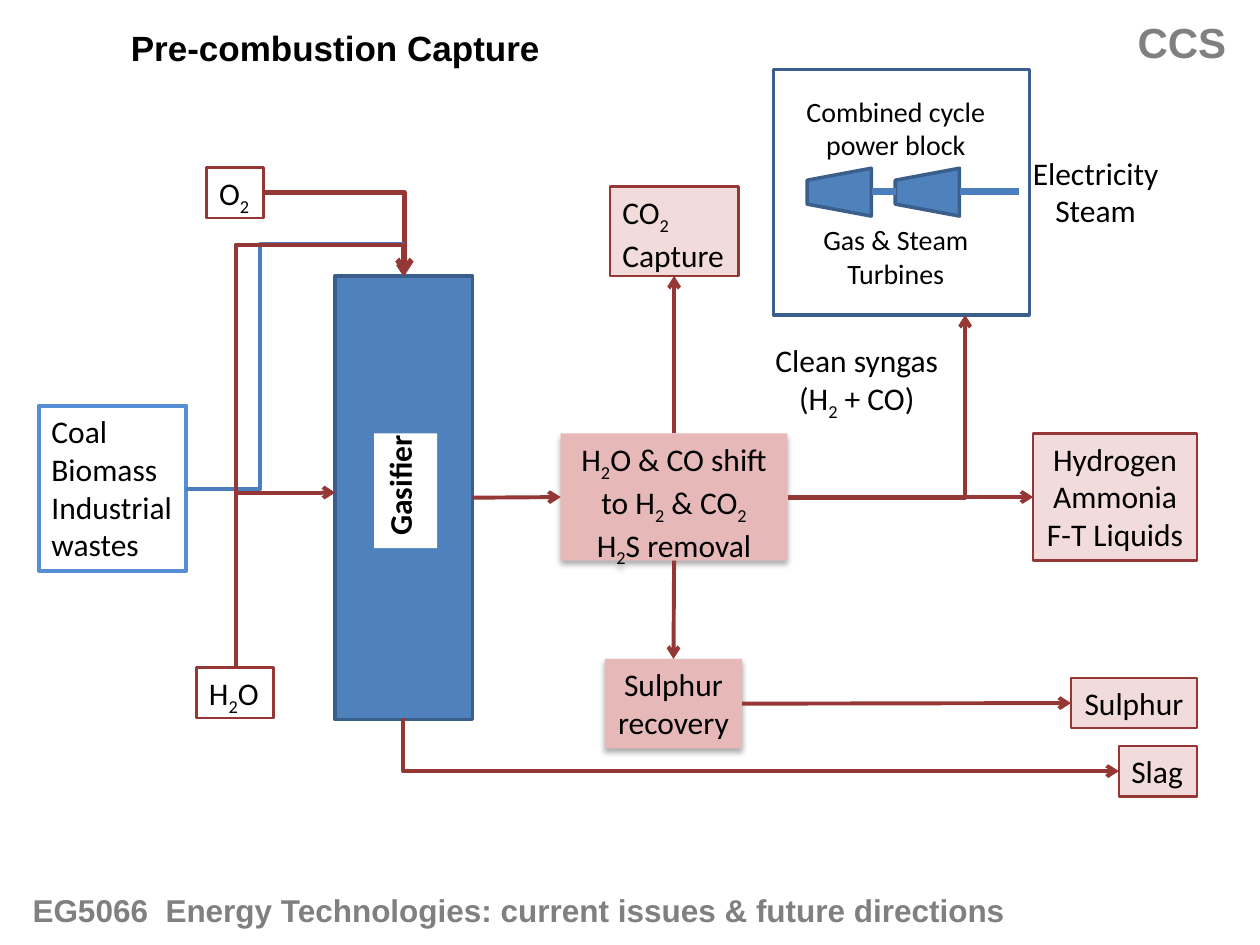
"""Build the pre-combustion capture flow diagram slide."""
import pptx
import pptx.dml.color
import pptx.enum.shapes
import pptx.enum.text
import pptx.oxml
import pptx.oxml.ns
import pptx.util

Inches, Pt, qn = pptx.util.Inches, pptx.util.Pt, pptx.oxml.ns.qn
SHAPE = pptx.enum.shapes.MSO_SHAPE
CONNECTOR = pptx.enum.shapes.MSO_CONNECTOR
ALIGN = pptx.enum.text.PP_ALIGN
TOP, LEFT, BOTTOM, RIGHT = range(4)

THEME = {
    "blue": "4F81BD", "navy": "3A5F8C", "sky": "558ED5", "steel": "4B7EBC",
    "red": "953735", "rose": "E6B9B8", "blush": "F2DCDB", "white": "FFFFFF",
    "body": {"name": "Calibri", "size": Pt(18), "color": "000000"},
    "small": {"name": "Calibri", "size": Pt(16), "color": "000000"},
    "strong": {"name": "Calibri", "size": Pt(18), "bold": True, "color": "000000"},
    "title": {"name": "Arial", "size": Pt(20), "bold": True, "color": "000000"},
    "footer": {"name": "Arial", "size": Pt(18), "bold": True, "color": "808080"},
    "tag": {"name": "Arial", "size": Pt(24), "bold": True, "color": "808080"},
}
OUTLINE = {"line": "red", "pt": 1.5}
PRODUCT = {"fill": "blush", **OUTLINE}
PROCESS = {"fill": "rose", "shadow": True, "wrap": True, "align": ALIGN.CENTER}
CENTRED = {"wrap": True, "align": ALIGN.CENTER}

BLOCKS = [
    ("gasifier", SHAPE.RECTANGLE, (2.66, 2.19, 1.09, 3.52), 0, "blue"),
    ("compressor", SHAPE.TRAPEZOID, (6.47, 1.27, 0.38, 0.51), 270, "blue"),
    ("turbine", SHAPE.TRAPEZOID, (7.17, 1.27, 0.38, 0.51), 270, "blue"),
    ("power block", SHAPE.RECTANGLE, (6.14, 0.55, 2.03, 1.95), 0, None),
]

LABELS = [
    ("title", "Pre-combustion Capture", (0.94, 0.16, 3.47, 0.44), {"font": "title"}),
    ("gasifier label", "Gasifier", (2.97, 3.44, 0.5, 0.91),
     {"fill": "white", "font": "strong", "vert": "vert270"}),
    ("oxygen", "O_2_", (1.64, 1.33, 0.45, 0.4), OUTLINE),
    ("water", "H_2_O", (1.56, 5.3, 0.61, 0.4), OUTLINE),
    ("feedstock", "Coal\nBiomass\nIndustrial wastes", (0.31, 3.22, 1.17, 1.31),
     {"line": "sky", "pt": 2.25, "wrap": True}),
    ("recovery", "Sulphur recovery", (4.8, 5.23, 1.09, 0.71), PROCESS),
    ("shift", "H_2_O & CO shift to H_2_ & CO_2_\nH_2_S removal",
     (4.45, 3.44, 1.8, 1.01), PROCESS),
    ("sulphur", "Sulphur", (8.5, 5.38, 1, 0.4), {**PRODUCT, "align": ALIGN.CENTER}),
    ("fuels", "Hydrogen\nAmmonia\nF-T Liquids", (8.2, 3.44, 1.3, 1.01),
     {**PRODUCT, "align": ALIGN.CENTER}),
    ("slag", "Slag", (8.88, 5.92, 0.62, 0.4), PRODUCT),
    ("capture", "CO_2_\nCapture", (4.84, 1.48, 1.02, 0.71), PRODUCT),
    ("output", "Electricity\nSteam", (8.09, 1.17, 1.21, 0.71), {"align": ALIGN.CENTER}),
    ("cycle", "Combined cycle power block", (6.29, 0.7, 1.64, 0.64),
     {**CENTRED, "font": "small"}),
    ("turbines", "Gas & Steam Turbines", (6.33, 1.72, 1.56, 0.64),
     {**CENTRED, "font": "small"}),
    ("syngas", "Clean syngas (H_2_ + CO)", (6.02, 2.66, 1.56, 0.71), CENTRED),
    ("footer", "EG5066  Energy Technologies: current issues & future directions",
     (0.16, 7.02, 8.59, 0.4), {"font": "footer", "wrap": True}),
    ("tag", "CCS", (8.93, 0.08, 0.91, 0.5), {"font": "tag"}),
]

SHAFTS = [(6.92, 7.11), (7.62, 8.09)]
SHAFT_Y = 1.52

ELBOWS = [
    ((2.1, 1.53, 1.11, 0.66), "bentConnector2", 0, "", (), "red", 3),
    ((1.48, 2.19, 1.72, 1.69), "bentConnector4", 0, "V", (34100, 114800), "steel", 2.25),
    ((1.59, 4.19, 1.35, 0.79), "bentConnector2", 90, "HV", (), "red", 2.25),
    ((0.98, 3.08, 3.11, 1.33), "bentConnector3", 90, "HV", (108000,), "red", 2.25),
    ((5.83, 3.07, 0.42, 5.68), "bentConnector2", 270, "H", (), "red", 2.25),
    ((6.25, 2.5, 1.41, 1.45), "bentConnector2", 0, "V", (), "red", 2.25),
]

FLOWS = [
    ("gasifier", RIGHT, "shift", LEFT),
    ("shift", BOTTOM, "recovery", TOP),
    ("recovery", RIGHT, "sulphur", LEFT),
    ("shift", RIGHT, "fuels", LEFT),
    ("shift", TOP, "capture", BOTTOM),
]


def rgb(value):
    """Return a theme key or hex string as a colour."""
    return pptx.dml.color.RGBColor.from_string(THEME.get(value, value))


def child(parent, tag, **attrs):
    """Append an XML element with attributes and return it."""
    node = pptx.oxml.parse_xml(f"<{tag} {pptx.oxml.ns.nsdecls('a')}/>")
    for key, value in attrs.items():
        node.set(key, str(value))
    parent.append(node)
    return node


def paint(s, fill=None, line=None, pt=1):
    """Set the fill and outline of a shape."""
    if fill:
        s.fill.solid()
        s.fill.fore_color.rgb = rgb(fill)
    else:
        s.fill.background()
    if line:
        s.line.color.rgb = rgb(line)
        s.line.width = Pt(pt)


def write(tf, text, font, align):
    """Write lines of text, with subscripts between underscores."""
    for i, line in enumerate(text.split("\n")):
        p = tf.add_paragraph() if i else tf.paragraphs[0]
        p.alignment = align
        for j, part in enumerate(line.split("_")):
            if not part:
                continue
            r = p.add_run()
            r.text = part
            for key, value in THEME[font].items():
                if key == "color":
                    r.font.color.rgb = rgb(value)
                else:
                    setattr(r.font, key, value)
            if j % 2:
                r._r.get_or_add_rPr().set("baseline", "-25000")


def add_block(slide, kind, at, rotation, fill):
    """Add a plain equipment shape."""
    s = slide.shapes.add_shape(kind, *map(Inches, at))
    s.shadow.inherit = False
    s.rotation = rotation
    paint(s, fill, "navy", 2)
    return s


def add_label(slide, text, at, fill=None, line=None, pt=1, font="body",
              align=ALIGN.LEFT, wrap=False, vert=None, shadow=False):
    """Add a text box with optional fill, outline and shadow."""
    s = slide.shapes.add_textbox(*map(Inches, at))
    paint(s, fill, line, pt)
    tf = s.text_frame
    tf.word_wrap = wrap
    tf.auto_size = pptx.enum.text.MSO_AUTO_SIZE.SHAPE_TO_FIT_TEXT
    if vert:
        tf._txBody.bodyPr.set("vert", vert)
    write(tf, text, font, align)
    if shadow:
        effects = child(s._element.spPr, "a:effectLst")
        outer = child(effects, "a:outerShdw", blurRad=Pt(3.5), dist=Pt(2.2),
                      dir=5400000, rotWithShape=0)
        child(child(outer, "a:srgbClr", val="000000"), "a:alpha", val=32000)
    return s


def add_line(slide, kind, ends, color, pt, arrow=True):
    """Add a connector without a shadow."""
    c = slide.shapes.add_connector(kind, *map(Inches, ends))
    c.line.color.rgb = rgb(color)
    c.line.width = Pt(pt)
    if arrow:
        child(c._element.spPr.find(qn("a:ln")), "a:tailEnd", type="arrow")
    child(c._element.spPr, "a:effectLst")
    return c


def add_elbow(slide, at, preset, rotation, flips, adjust, color, pt):
    """Add a bent arrow from its frame, turn and bends."""
    x, y, w, h = at
    c = add_line(slide, CONNECTOR.ELBOW, (x, y, x + w, y + h), color, pt)
    frame = c._element.spPr.find(qn("a:xfrm"))
    frame.set("rot", str(rotation * 60000))
    for flip in flips:
        frame.set(f"flip{flip}", "1")
    geometry = c._element.spPr.find(qn("a:prstGeom"))
    geometry.set("prst", preset)
    for i, value in enumerate(adjust, 1):
        child(geometry.find(qn("a:avLst")), "a:gd", name=f"adj{i}", fmla=f"val {value}")


def main():
    """Assemble and save the slide."""
    prs = pptx.Presentation()
    prs.slide_width, prs.slide_height = Inches(10), Inches(7.5)
    slide = prs.slides.add_slide(prs.slide_layouts[6])
    nodes = {name: add_block(slide, *rest) for name, *rest in BLOCKS}
    for name, text, at, style in LABELS:
        nodes[name] = add_label(slide, text, at, **style)
    for x1, x2 in SHAFTS:
        add_line(slide, CONNECTOR.STRAIGHT, (x1, SHAFT_Y, x2, SHAFT_Y), "steel", 4.5, False)
    for elbow in ELBOWS:
        add_elbow(slide, *elbow)
    for start, side, end, end_side in FLOWS:
        c = add_line(slide, CONNECTOR.STRAIGHT, (0, 0, 0, 0), "red", 2.25)
        c.begin_connect(nodes[start], side)
        c.end_connect(nodes[end], end_side)
    prs.save("out.pptx")


if __name__ == "__main__":
    main()
